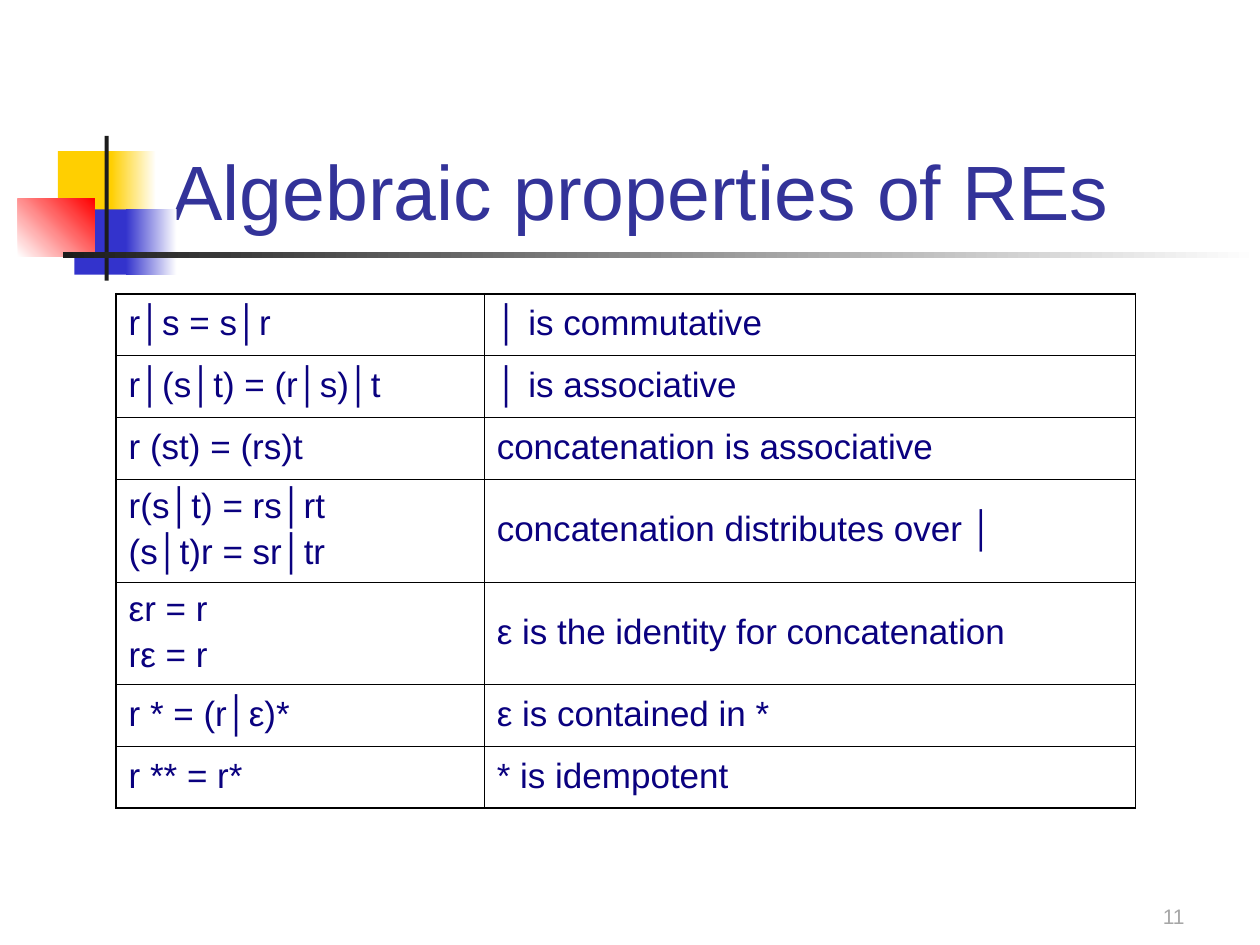
from lxml import etree
from pptx import Presentation
from pptx.dml.color import RGBColor
from pptx.enum.shapes import MSO_SHAPE
from pptx.enum.text import MSO_ANCHOR, MSO_AUTO_SIZE, PP_ALIGN
from pptx.oxml.ns import qn
from pptx.util import Cm, Pt

RECT = MSO_SHAPE.RECTANGLE
LEFT, RIGHT = PP_ALIGN.LEFT, PP_ALIGN.RIGHT
MIDDLE, BOTTOM = MSO_ANCHOR.MIDDLE, MSO_ANCHOR.BOTTOM
NO_FIT = MSO_AUTO_SIZE.NONE
TITLE_ONLY = 5

COLORS = {
    "yellow": "FFCF01", "blue": "3333CC", "red": "FF0000", "dark": "1C1C1C",
    "white": "FFFFFF", "title": "333399", "cell": "0A017F",
    "number": "A7A7A7", "border": "000000",
}
FRAME = {"vertical_anchor": BOTTOM, "word_wrap": True, "auto_size": NO_FIT}
THIN, THICK = Pt(0.45), Pt(1.08)

PROPERTIES = [
    ("r│s = s│r", "│ is commutative"),
    ("r│(s│t) = (r│s)│t", "│ is associative"),
    ("r (st) = (rs)t", "concatenation is associative"),
    ("r(s│t) = rs│rt\n(s│t)r = sr│tr", "concatenation distributes over │"),
    ("εr = r\nrε = r", "ε is the identity for concatenation"),
    ("r * = (r│ε)*", "ε is contained in *"),
    ("r ** = r*", "* is idempotent"),
]


def rgb(name):
    return RGBColor.from_string(COLORS[name])


def apply(target, values):
    for key, value in values.items():
        setattr(target, key, value)


class Deck:
    font = "Arial"

    def __init__(self, width, height):
        self.prs = Presentation()
        apply(self.prs, {"slide_width": Cm(width), "slide_height": Cm(height)})
        self.slide = self.prs.slides.add_slide(self.prs.slide_layouts[TITLE_ONLY])

    def style(self, p, size, color, align=LEFT):
        p.alignment = align
        apply(p.font, {"name": self.font, "size": Pt(size)})
        p.font.color.rgb = rgb(color)

    def block(self, box, start, end=None, angle=0):
        sp = self.slide.shapes.add_shape(RECT, *map(Cm, box))
        sp.shadow.inherit = False
        sp.line.fill.background()
        if end is None:
            sp.fill.solid()
            sp.fill.fore_color.rgb = rgb(start)
            return
        sp.fill.gradient()
        sp.fill.gradient_angle = angle
        for stop, name in zip(sp.fill.gradient_stops, (start, end)):
            stop.color.rgb = rgb(name)

    def text(self, sp, text, size, color, align=LEFT):
        tf = sp.text_frame
        apply(tf, FRAME)
        tf.text = text
        self.style(tf.paragraphs[0], size, color, align)

    def title(self, box, text):
        sp = self.slide.shapes.title
        apply(sp, dict(zip(("left", "top", "width", "height"), map(Cm, box))))
        self.text(sp, text, 44, "title")

    def label(self, box, text, size, color, align):
        sp = self.slide.shapes.add_textbox(*map(Cm, box))
        self.text(sp, text, size, color, align)

    def borders(self, cell, widths):
        tc_pr = cell._tc.get_or_add_tcPr()
        for i, (side, width) in enumerate(widths.items()):
            ln = etree.Element(qn(f"a:ln{side}"), w=str(width))
            fill = etree.SubElement(ln, qn("a:solidFill"))
            etree.SubElement(fill, qn("a:srgbClr"), val=COLORS["border"])
            tc_pr.insert(i, ln)

    def cell(self, cell, text):
        cell.fill.background()
        cell.vertical_anchor = MIDDLE
        cell.text = text
        for i, p in enumerate(cell.text_frame.paragraphs):
            p.line_spacing = 0.95
            p.space_before = Pt(5 if i else 0)
            self.style(p, 20, "cell")

    def table(self, left, top, widths, line_heights, rows):
        heights = [line_heights[row[0].count("\n")] for row in rows]
        box = (left, top, sum(widths), sum(heights))
        table = self.slide.shapes.add_table(
            len(rows), len(widths), *map(Cm, box)).table
        apply(table, {"first_row": False, "horz_banding": False})
        for column, width in zip(table.columns, widths):
            column.width = Cm(width)
        last_row, last_col = len(rows) - 1, len(widths) - 1
        for r, row in enumerate(rows):
            table.rows[r].height = Cm(heights[r])
            for c, text in enumerate(row):
                cell = table.cell(r, c)
                self.cell(cell, text)
                outer = {"L": c == 0, "R": c == last_col,
                         "T": r == 0, "B": r == last_row}
                self.borders(cell, {side: THICK if edge else THIN
                                    for side, edge in outer.items()})


def main():
    deck = Deck(25.4, 19.05)

    # Corner ornament and title rule
    deck.block((1.17, 3.05, 1.22, 1.32), "yellow")
    deck.block((2.24, 3.05, 0.91, 1.32), "yellow", "white")
    deck.block((1.5, 4.22, 1.17, 1.32), "blue")
    deck.block((2.54, 4.22, 1.02, 1.32), "blue", "white")
    deck.block((0.36, 4.01, 1.55, 1.17), "white", "red", angle=45)
    deck.block((2.11, 2.74, 0.08, 2.92), "dark")
    deck.block((1.27, 5.08, 24.13, 0.13), "dark", "white")

    # Title
    deck.title((3.2, 1.7, 21.64, 3.18), "Algebraic properties of REs")

    # Laws and their meaning
    deck.table(2.34, 5.92, (7.42, 13.13), (1.25, 2.06), PROPERTIES)

    # Slide number
    deck.label((18.85, 17.58, 5.28, 1.27), "11", 12, "number", RIGHT)

    deck.prs.save("out.pptx")


if __name__ == "__main__":
    main()
